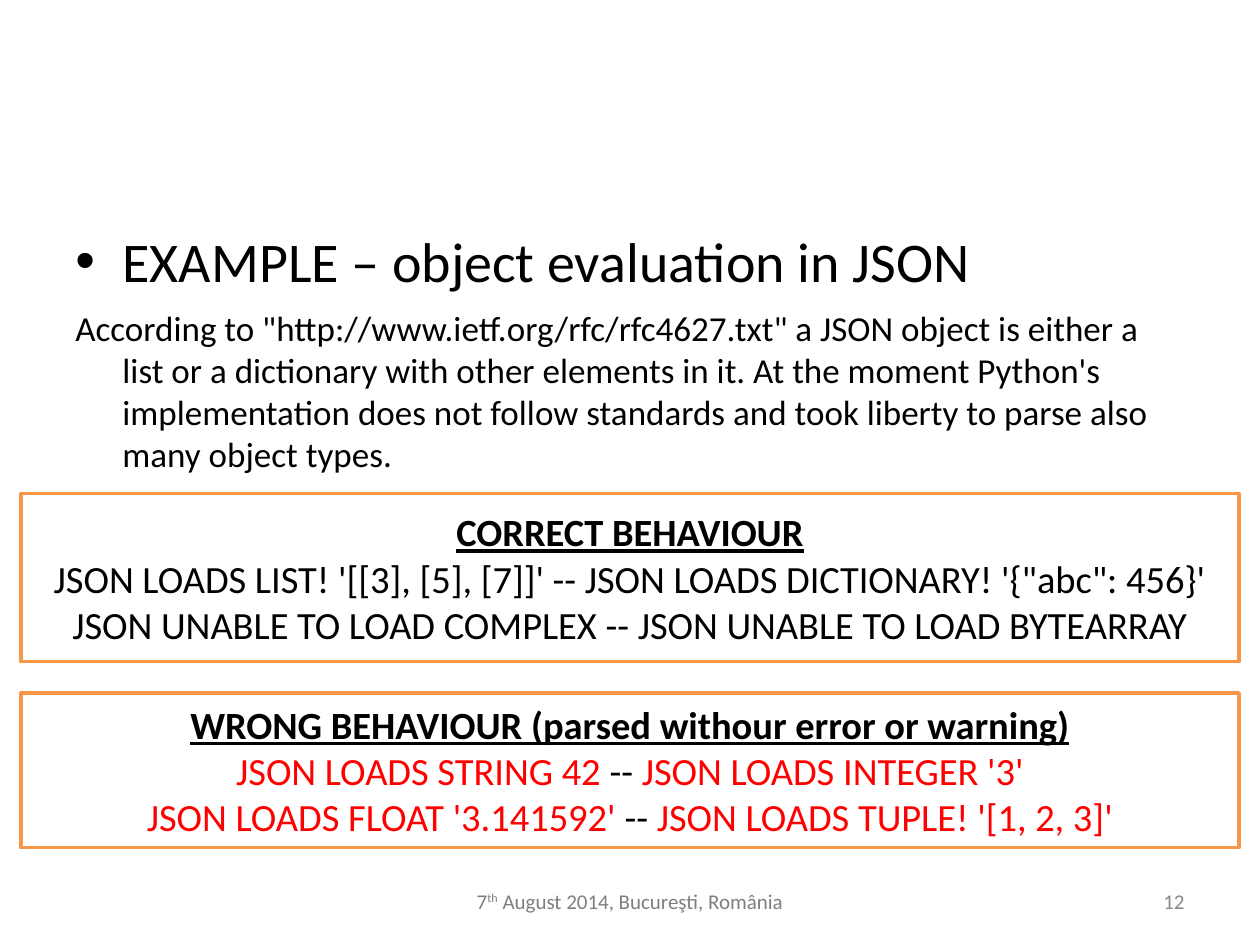
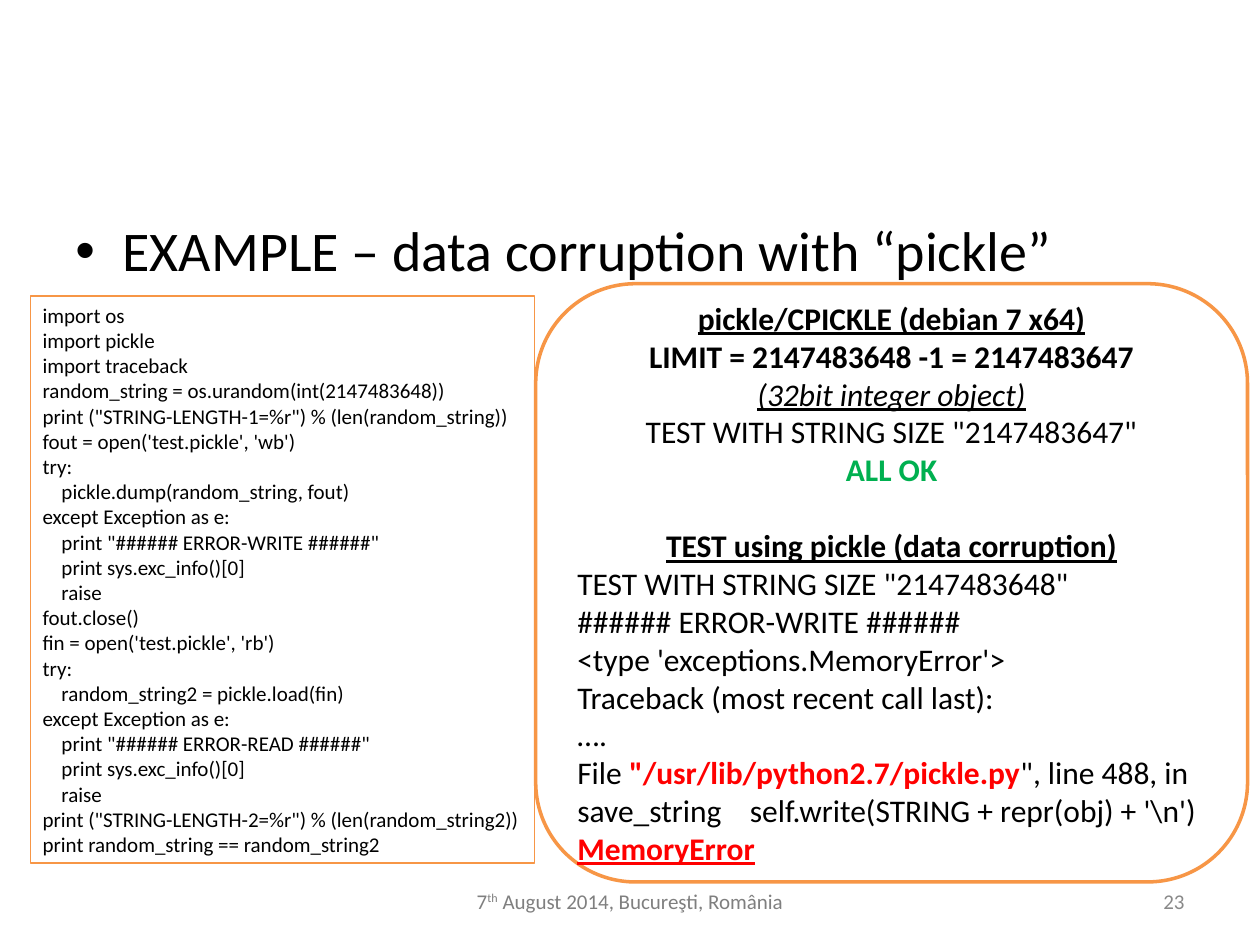
from dataclasses import dataclass, field

from lxml import etree
from pptx import Presentation
from pptx.dml.color import RGBColor
from pptx.enum import shapes, text
from pptx.oxml import ns
from pptx.util import Cm, Pt

LEFT, CENTER, RIGHT = text.PP_ALIGN.LEFT, text.PP_ALIGN.CENTER, text.PP_ALIGN.RIGHT
TOP, MIDDLE = text.MSO_ANCHOR.TOP, text.MSO_ANCHOR.MIDDLE


@dataclass(frozen=True)
class Theme:
    font: str = "Calibri"
    ink: str = "000000"
    accent: str = "F79646"
    error: str = "FF0000"
    success: str = "00B050"
    footer: str = "7F7F7F"
    number: str = "898989"
    heading_size: int = 32
    panel_size: int = 22
    body_size: int = 20
    result_size: int = 18
    small_size: int = 12
    hanging: float = 0.95


THEME = Theme()


@dataclass
class Span:
    words: str
    color: str = THEME.ink
    bold: bool = False
    italic: bool = False
    underline: bool = False
    raised: bool = False


@dataclass
class Para:
    spans: list = field(default_factory=list)
    align: object = LEFT
    before: float = 0
    hanging: bool = False
    bullet: bool = False


def line(words, align=LEFT, before=0, **style):
    """A paragraph of a single span."""
    return Para([Span(words, **style)], align, before)


def title(words, before=0):
    return line(words, CENTER, before, bold=True, underline=True)


# Text
def set_indent(paragraph, bullet):
    properties = paragraph._p.get_or_add_pPr()
    properties.set("marL", str(Cm(THEME.hanging)))
    properties.set("indent", str(-Cm(THEME.hanging)))
    if bullet:
        etree.SubElement(properties, ns.qn("a:buFont")).set("typeface", "Arial")
        etree.SubElement(properties, ns.qn("a:buChar")).set("char", "•")


def add_span(paragraph, span, size):
    run = paragraph.add_run()
    run.text = span.words
    font = run.font
    font.name, font.size = THEME.font, Pt(size)
    font.color.rgb = RGBColor.from_string(span.color)
    font.bold, font.italic, font.underline = span.bold, span.italic, span.underline
    if span.raised:
        run._r.get_or_add_rPr().set("baseline", "30000")


def fill_text(box, paras, size, anchor):
    frame = box.text_frame
    frame.word_wrap = True
    frame.vertical_anchor = anchor
    for index, para in enumerate(paras):
        paragraph = frame.add_paragraph() if index else frame.paragraphs[0]
        if para.hanging:
            set_indent(paragraph, para.bullet)
        paragraph.alignment = para.align
        paragraph.space_before = Pt(para.before)
        for span in para.spans:
            add_span(paragraph, span, size)


# Elements
def add_text(page, place, paras, size, anchor=TOP):
    box = page.shapes.add_textbox(*map(Cm, place))
    fill_text(box, paras, size, anchor)


def add_panel(page, place, paras, size, weight=2, anchor=MIDDLE,
              kind=shapes.MSO_SHAPE.RECTANGLE):
    panel = page.shapes.add_shape(kind, *map(Cm, place))
    panel.shadow.inherit = False
    panel.fill.background()
    panel.line.color.rgb = RGBColor.from_string(THEME.accent)
    panel.line.width = Pt(weight)
    fill_text(panel, paras, size, anchor)


def add_heading(page, words, top):
    heading = Para([Span(words)], hanging=True, bullet=True)
    add_text(page, (1.27, top, 22.86, 1.7), [heading], THEME.heading_size)


def add_footer(page, number):
    event = Para([Span("7", THEME.footer), Span("th", THEME.footer, raised=True),
                  Span(" August 2014, Bucureşti, România", THEME.footer)], CENTER)
    count = line(str(number), RIGHT, color=THEME.number)
    for left, width, para in ((8.15, 9.1, event), (18.2, 5.93, count)):
        add_text(page, (left, 17.65, width, 1.02), [para], THEME.small_size, MIDDLE)


def add_page(deck, heading, heading_top, number):
    page = deck.slides.add_slide(deck.slide_layouts[6])
    add_heading(page, heading, heading_top)
    add_footer(page, number)
    return page


# Content
JSON_NOTE = (
    "According to \"http://www.ietf.org/rfc/rfc4627.txt\" a JSON object is either a "
    "list or a dictionary with other elements in it. At the moment Python's "
    "implementation does not follow standards and took liberty to parse also many "
    "object types.")

PICKLE_CODE = r"""import os
import pickle
import traceback
random_string = os.urandom(int(2147483648))
print ("STRING-LENGTH-1=%r") % (len(random_string))
fout = open('test.pickle', 'wb')
try:
    pickle.dump(random_string, fout)
except Exception as e:
    print "###### ERROR-WRITE ######"
    print sys.exc_info()[0]
    raise
fout.close()
fin = open('test.pickle', 'rb')
try:
    random_string2 = pickle.load(fin)
except Exception as e:
    print "###### ERROR-READ ######"
    print sys.exc_info()[0]
    raise
print ("STRING-LENGTH-2=%r") % (len(random_string2))
print random_string == random_string2"""


def wrong_pair(first, second):
    return Para([Span(first + " ", THEME.error), Span("-- "),
                 Span(second, THEME.error)], CENTER)


def build_json_page(deck):
    page = add_page(deck, "EXAMPLE – object evaluation in JSON", 4.45, 12)
    add_text(page, (1.27, 6.06, 22.86, 3.7),
             [Para([Span(JSON_NOTE)], hanging=True)], THEME.body_size)
    correct = [
        title("CORRECT BEHAVIOUR"),
        line("JSON LOADS LIST! '[[3], [5], [7]]' -- "
             "JSON LOADS DICTIONARY! '{\"abc\": 456}'", CENTER),
        line("JSON UNABLE TO LOAD COMPLEX -- JSON UNABLE TO LOAD BYTEARRAY", CENTER)]
    wrong = [
        title("WRONG BEHAVIOUR (parsed withour error or warning)"),
        wrong_pair("JSON LOADS STRING 42", "JSON LOADS INTEGER '3'"),
        wrong_pair("JSON LOADS FLOAT '3.141592'", "JSON LOADS TUPLE! '[1, 2, 3]'")]
    for top, height, paras in ((9.95, 3.39, correct), (13.97, 3.12, wrong)):
        add_panel(page, (0.42, top, 24.56, height), paras, THEME.panel_size)


def build_pickle_page(deck):
    page = add_page(deck, "EXAMPLE – data corruption with “pickle”", 4.23, 23)
    code = [line(words) for words in PICKLE_CODE.splitlines()]
    add_panel(page, (0.61, 5.97, 10.16, 11.43), code, THEME.small_size, 0.75, TOP)
    results = [
        title("pickle/CPICKLE (debian 7 x64)"),
        line("LIMIT = 2147483648 -1 = 2147483647", CENTER, bold=True),
        line("(32bit integer object)", CENTER, italic=True, underline=True),
        line("TEST WITH STRING SIZE \"2147483647\"", CENTER),
        line("ALL OK", CENTER, color=THEME.success, bold=True),
        title("TEST using pickle (data corruption)", before=22),
        line("TEST WITH STRING SIZE \"2147483648\""),
        line("###### ERROR-WRITE ######"),
        line("<type 'exceptions.MemoryError'>"),
        line("Traceback (most recent call last):"),
        line("…."),
        Para([Span("File "),
              Span("\"/usr/lib/python2.7/pickle.py", THEME.error, bold=True),
              Span("\", line 488, in save_string    "
                   "self.write(STRING + repr(obj) + '\\n')")]),
        line("MemoryError", color=THEME.error, bold=True, underline=True)]
    add_panel(page, (10.8, 5.72, 14.35, 12.06), results, THEME.result_size,
              kind=shapes.MSO_SHAPE.ROUNDED_RECTANGLE)


def main():
    deck = Presentation()
    deck.slide_width, deck.slide_height = Cm(25.4), Cm(19.05)
    build_json_page(deck)
    build_pickle_page(deck)
    deck.save("out.pptx")


if __name__ == "__main__":
    main()
